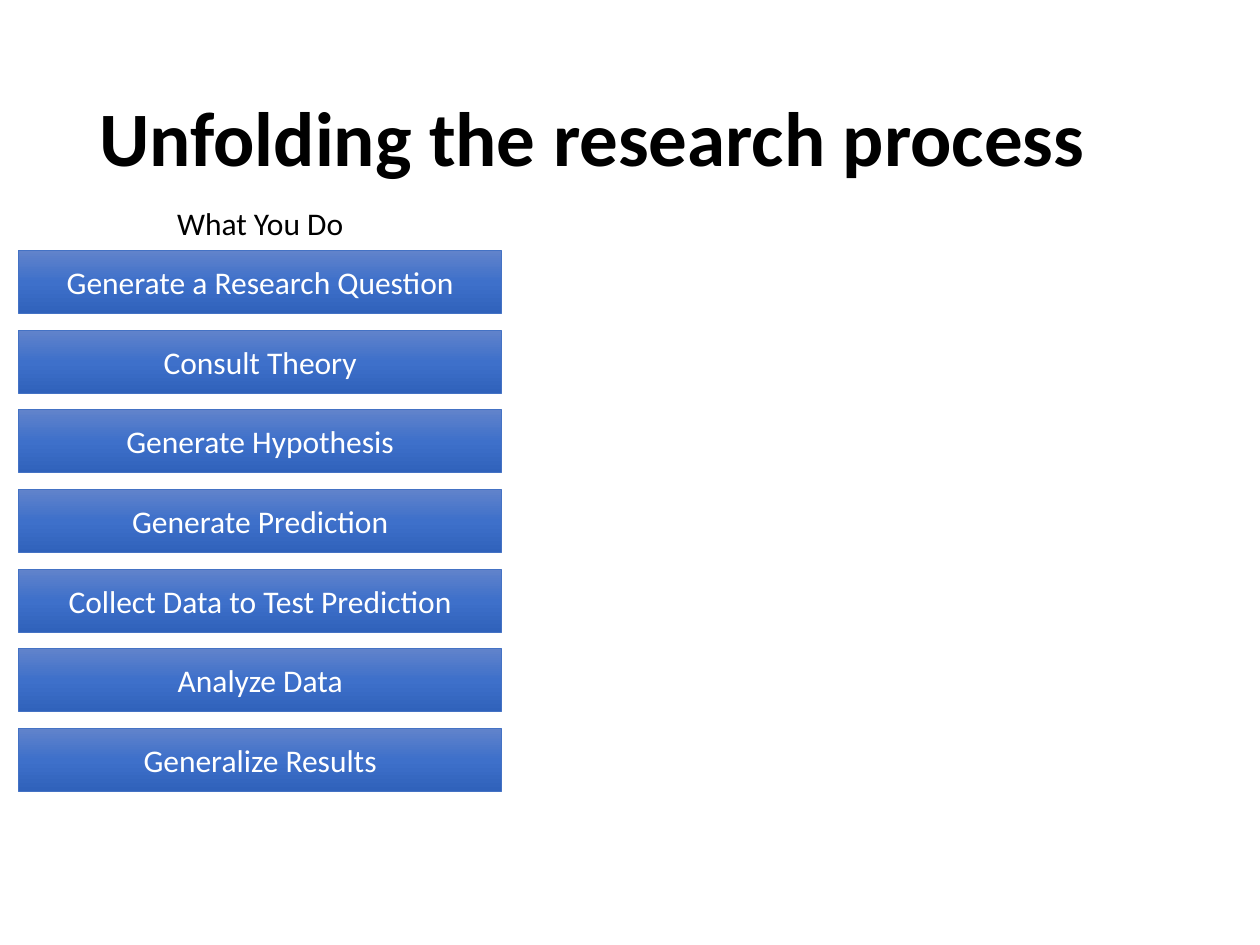
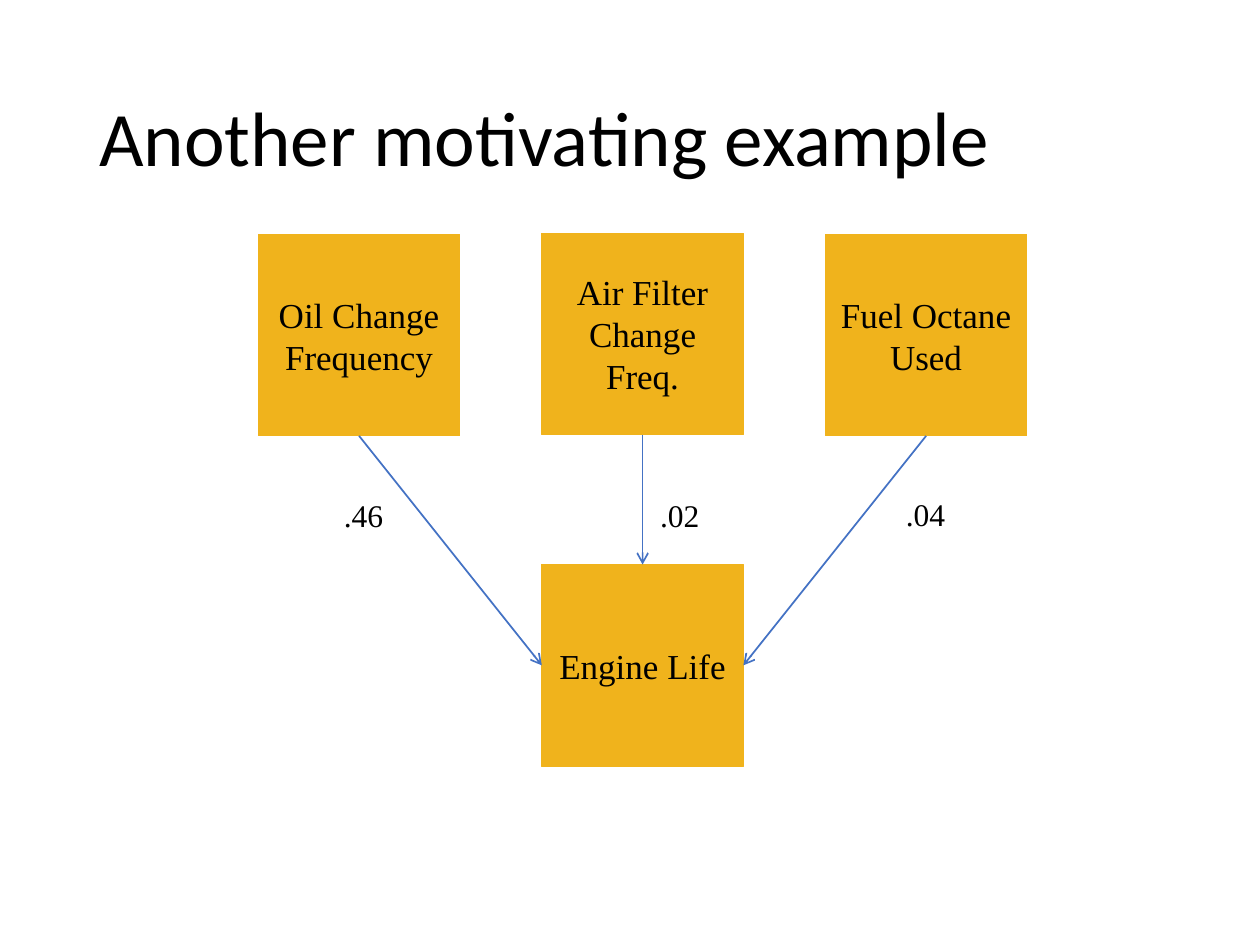
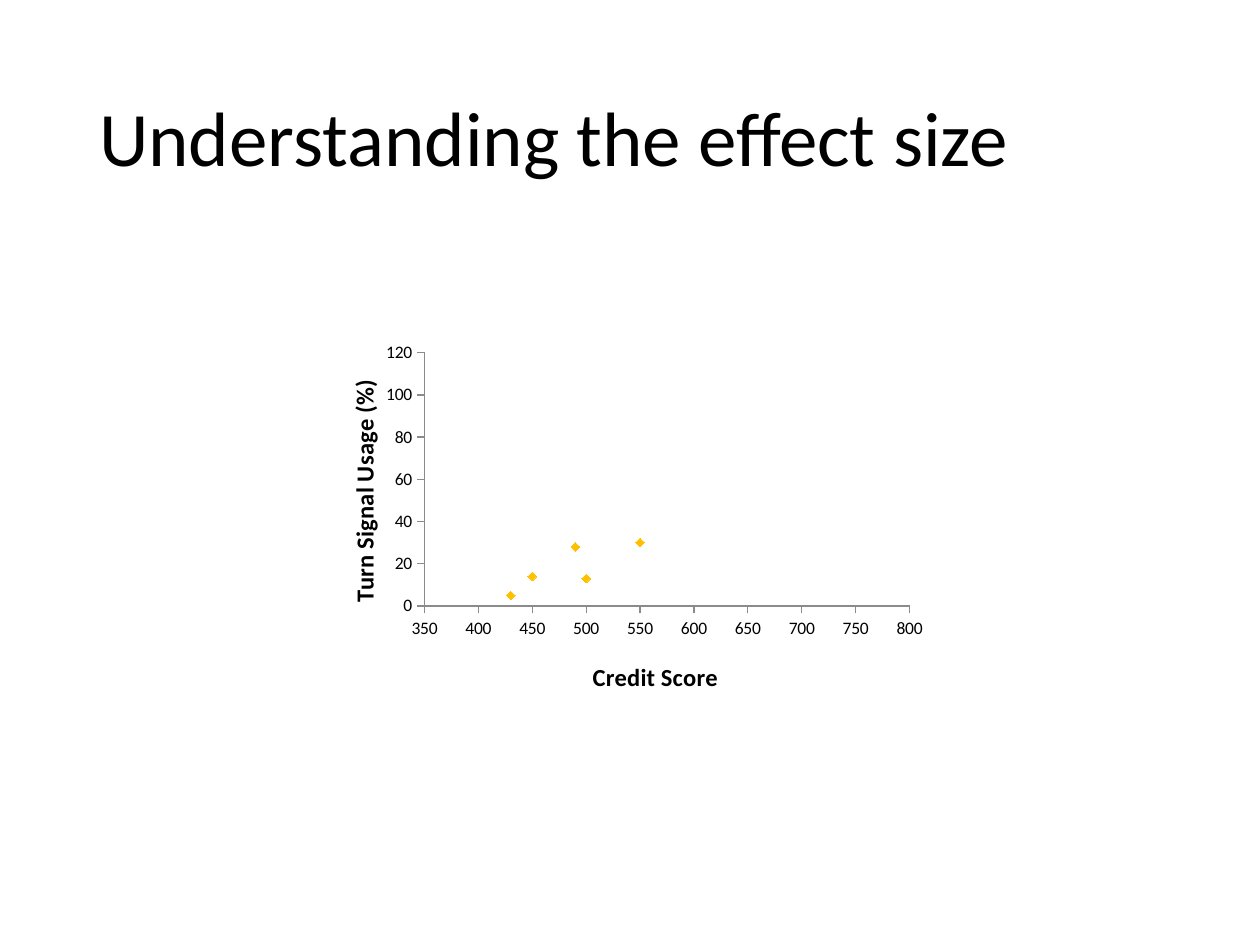
from copy import deepcopy
from dataclasses import dataclass

from lxml.etree import SubElement
from pptx import Presentation
from pptx.chart.data import XyChartData
from pptx.dml.color import RGBColor
from pptx.enum.chart import XL_CHART_TYPE, XL_MARKER_STYLE, XL_TICK_LABEL_POSITION, XL_TICK_MARK
from pptx.enum.shapes import MSO_CONNECTOR, MSO_SHAPE
from pptx.enum.text import MSO_ANCHOR, MSO_AUTO_SIZE, PP_ALIGN
from pptx.oxml import parse_xml
from pptx.oxml.ns import nsdecls, qn
from pptx.util import Pt

COLOURS = {
    "text": "000000",
    "white": "FFFFFF",
    "blue": "4472C4",
    "step_top": "6183CB",
    "step_middle": "3E70CA",
    "step_bottom": "3062BB",
    "factor": "F0B31C",
    "marker": "FFC000",
    "axis": "8B8B8B",
}
SANS = "Calibri"
SERIF = "Times New Roman"
TOP_SITE, LEFT_SITE, BOTTOM_SITE, RIGHT_SITE = range(4)

STEP_LEFT, STEP_TOP, STEP_WIDTH, STEP_HEIGHT, STEP_PITCH = 10.8, 143.3, 275.8, 36, 45.48
STEPS = [
    "Generate a Research Question",
    "Consult Theory",
    "Generate Hypothesis",
    "Generate Prediction",
    "Collect Data to Test Prediction",
    "Analyze Data",
    "Generalize Results",
]
FACTOR_LEFT, FACTOR_PITCH, FACTOR_SIDE = 147.6, 162, 115.2
OUTCOME_TOP = 322.6
CREDIT_SCORES = [430, 500, 450, 490, 550]
SIGNAL_USAGE = [5, 13, 14, 28, 30]


@dataclass
class Area:
    left: float
    top: float
    width: float
    height: float

    def points(self) -> tuple:
        return Pt(self.left), Pt(self.top), Pt(self.width), Pt(self.height)


@dataclass
class TextStyle:
    size: float
    font: str = SANS
    colour: str = "text"
    bold: bool = False
    align: PP_ALIGN = PP_ALIGN.CENTER


@dataclass
class Factor:
    name: str
    top: float
    site: int
    effect: str
    effect_left: float
    effect_top: float


FACTORS = [
    Factor("Oil Change Frequency", 133.9, LEFT_SITE, ".46", 189.4, 280.1),
    Factor("Air Filter Change Freq.", 133.2, TOP_SITE, ".02", 370.1, 280.1),
    Factor("Fuel Octane Used", 133.9, RIGHT_SITE, ".04", 510.5, 279.4),
]


def colour(name: str) -> RGBColor:
    return RGBColor.from_string(COLOURS[name])


def style_font(font, style: TextStyle) -> None:
    font.name = style.font
    font.size = Pt(style.size)
    font.bold = style.bold
    font.color.rgb = colour(style.colour)


def write(frame, text: str, style: TextStyle):
    para = frame.paragraphs[0]
    para.alignment = style.align
    span = para.add_run()
    span.text = text
    style_font(span.font, style)
    return para


def add_page(deck, title: str, bold: bool = False):
    page = deck.slides.add_slide(deck.slide_layouts[5])
    box = page.shapes.title
    box.left, box.top, box.width, box.height = Area(49.5, 28.75, 621, 104.4).points()
    frame = box.text_frame
    frame.word_wrap = True
    frame.auto_size = MSO_AUTO_SIZE.NONE
    frame.vertical_anchor = MSO_ANCHOR.MIDDLE
    style = TextStyle(44, bold=bold, align=PP_ALIGN.LEFT)
    write(frame, title, style).line_spacing = 0.9
    return page


def add_label(page, area: Area, text: str, style: TextStyle, wrap: bool, anchor: MSO_ANCHOR) -> None:
    frame = page.shapes.add_textbox(*area.points()).text_frame
    frame.word_wrap = wrap
    frame.vertical_anchor = anchor
    write(frame, text, style)


def add_block(page, area: Area, text: str, style: TextStyle, line: str):
    block = page.shapes.add_shape(MSO_SHAPE.RECTANGLE, *area.points())
    block.shadow.inherit = False
    block.line.color.rgb = colour(line)
    block.line.width = Pt(0.5)
    frame = block.text_frame
    frame.word_wrap = True
    frame.vertical_anchor = MSO_ANCHOR.MIDDLE
    write(frame, text, style)
    return block


def fill_gradient(block) -> None:
    fill = block.fill
    fill.gradient()
    fill.gradient_angle = 270
    stop_list = block._element.spPr.find(qn("a:gradFill")).find(qn("a:gsLst"))
    stop_list.insert(1, deepcopy(stop_list[0]))
    names = ["step_top", "step_middle", "step_bottom"]
    for stop, name, position in zip(fill.gradient_stops, names, [0, 0.5, 1]):
        stop.color.rgb = colour(name)
        stop.position = position


def add_arrow(page, start, end, end_site: int) -> None:
    arrow = page.shapes.add_connector(MSO_CONNECTOR.STRAIGHT, 0, 0, 0, 0)
    arrow.begin_connect(start, BOTTOM_SITE)
    arrow.end_connect(end, end_site)
    arrow.line.color.rgb = colour("blue")
    arrow.line.width = Pt(1)
    properties = arrow._element.spPr
    SubElement(properties.find(qn("a:ln")), qn("a:tailEnd"), type="arrow")
    SubElement(properties, qn("a:effectLst"))


def place_chart_part(part, index: int, **fractions: float) -> None:
    for layout in part.findall(qn("c:layout")):
        part.remove(layout)
    target = '<c:layoutTarget val="inner"/>' if "w" in fractions else ""
    modes = "".join(f'<c:{key}Mode val="edge"/>' for key in "xy")
    values = "".join(f'<c:{key} val="{value}"/>' for key, value in fractions.items())
    part.insert(index, parse_xml(
        f'<c:layout {nsdecls("c")}><c:manualLayout>{target}{modes}{values}</c:manualLayout></c:layout>'
    ))


def style_axis(axis, title: str, low: float, high: float, step: float, x: float, y: float) -> None:
    axis.minimum_scale = low
    axis.maximum_scale = high
    axis.major_unit = step
    axis.has_major_gridlines = False
    axis.major_tick_mark = XL_TICK_MARK.OUTSIDE
    axis.minor_tick_mark = XL_TICK_MARK.NONE
    axis.tick_label_position = XL_TICK_LABEL_POSITION.NEXT_TO_AXIS
    axis.format.line.color.rgb = colour("axis")
    axis.format.line.width = Pt(0.75)
    style_font(axis.tick_labels.font, TextStyle(10))
    write(axis.axis_title.text_frame, title, TextStyle(14, bold=True))
    place_chart_part(axis.axis_title._element, 1, x=x, y=y)


def build_process(deck) -> None:
    page = add_page(deck, "Unfolding the research process", bold=True)
    header = Area(STEP_LEFT, 110.9, STEP_WIDTH, 33.1)
    add_label(page, header, "What You Do", TextStyle(18), True, MSO_ANCHOR.MIDDLE)
    for row, step in enumerate(STEPS):
        area = Area(STEP_LEFT, STEP_TOP + row * STEP_PITCH, STEP_WIDTH, STEP_HEIGHT)
        fill_gradient(add_block(page, area, step, TextStyle(18, colour="white"), "blue"))


def add_factor(page, column: int, top: float, name: str):
    area = Area(FACTOR_LEFT + column * FACTOR_PITCH, top, FACTOR_SIDE, FACTOR_SIDE)
    block = add_block(page, area, name, TextStyle(20, SERIF), "factor")
    block.fill.solid()
    block.fill.fore_color.rgb = colour("factor")
    return block


def build_example(deck) -> None:
    page = add_page(deck, "Another motivating example")
    outcome = add_factor(page, 1, OUTCOME_TOP, "Engine Life")
    effect_style = TextStyle(18, SERIF, align=PP_ALIGN.LEFT)
    for column, factor in enumerate(FACTORS):
        block = add_factor(page, column, factor.top, factor.name)
        add_arrow(page, block, outcome, factor.site)
        area = Area(factor.effect_left, factor.effect_top, 37.4, 28.8)
        add_label(page, area, factor.effect, effect_style, False, MSO_ANCHOR.TOP)


def build_effect_size(deck) -> None:
    page = add_page(deck, "Understanding the effect size")
    data = XyChartData()
    points = data.add_series("Series 1")
    for score, usage in zip(CREDIT_SCORES, SIGNAL_USAGE):
        points.add_data_point(score, usage)
    area = Area(174.2, 190.8, 360, 216)
    chart = page.shapes.add_chart(XL_CHART_TYPE.XY_SCATTER, *area.points(), data).chart
    chart.has_legend = False
    chart.has_title = False
    style_font(chart.font, TextStyle(10))
    plot = chart.plots[0]
    plot.vary_by_categories = False
    series = plot.series[0]
    series.format.line.fill.background()
    marker = series.marker
    marker.style = XL_MARKER_STYLE.DIAMOND
    marker.size = 5
    marker.format.fill.solid()
    marker.format.fill.fore_color.rgb = colour("marker")
    marker.format.line.color.rgb = colour("marker")
    style_axis(chart.category_axis, "Credit Score", 350, 800, 50, 0.45, 0.85)
    style_axis(chart.value_axis, "Turn Signal Usage (%)", 0, 120, 20, 0.06, 0.11)
    plot_area = chart._chartSpace.chart.plotArea
    place_chart_part(plot_area, 0, x=0.19, y=0.05, w=0.77, h=0.67)


def main() -> None:
    deck = Presentation()
    deck.slide_width, deck.slide_height = Pt(720), Pt(540)
    build_process(deck)
    build_example(deck)
    build_effect_size(deck)
    deck.save("out.pptx")


if __name__ == "__main__":
    main()
